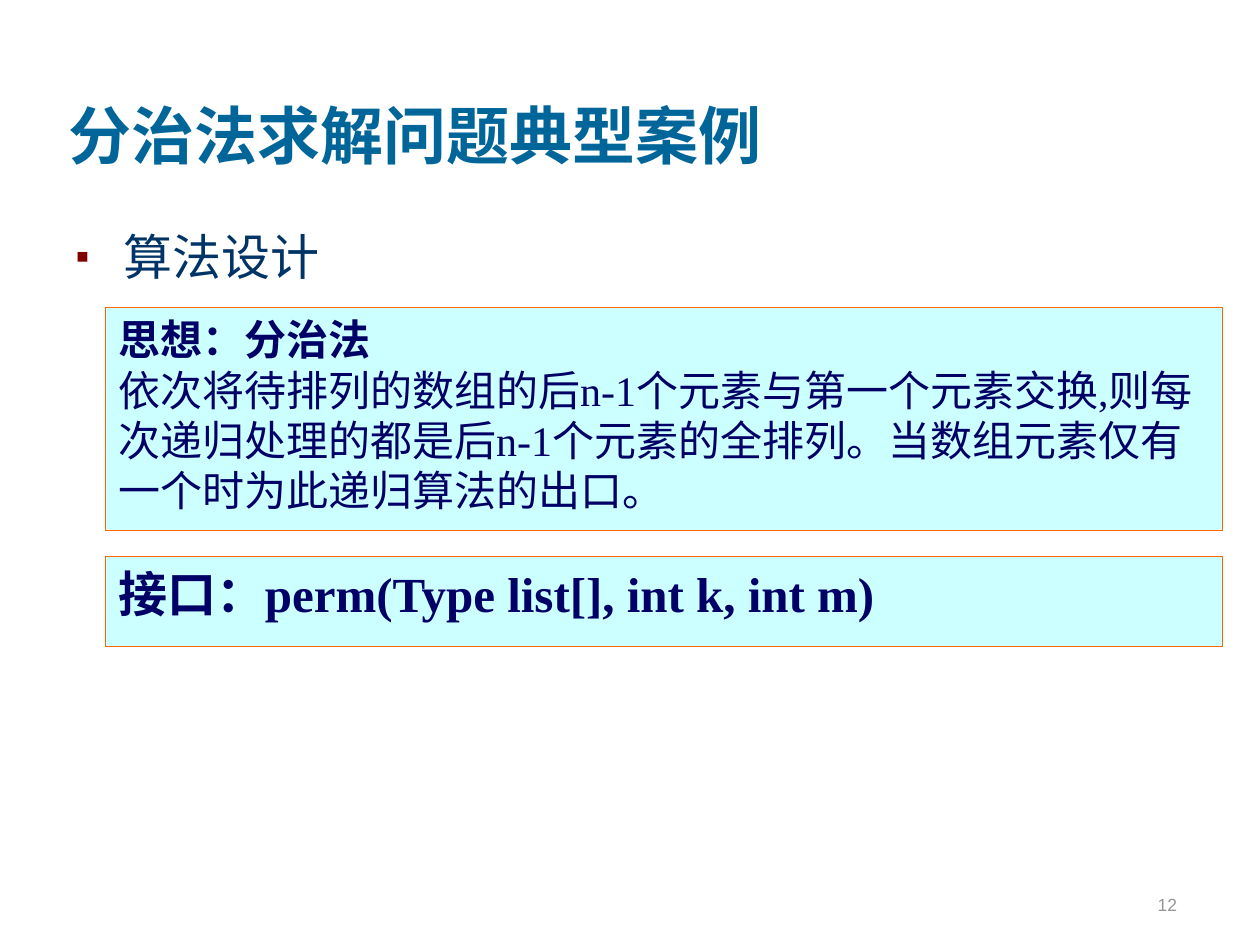
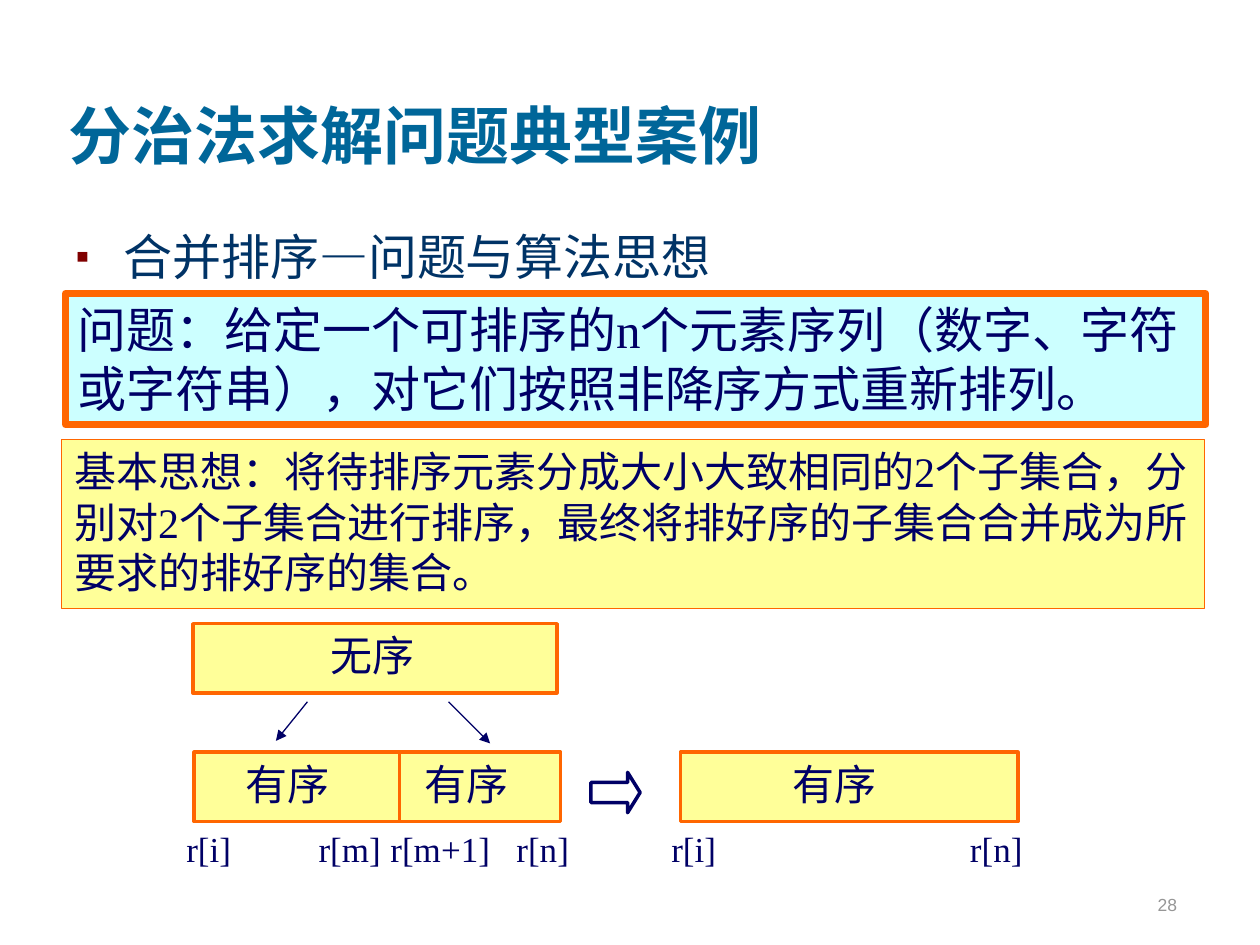
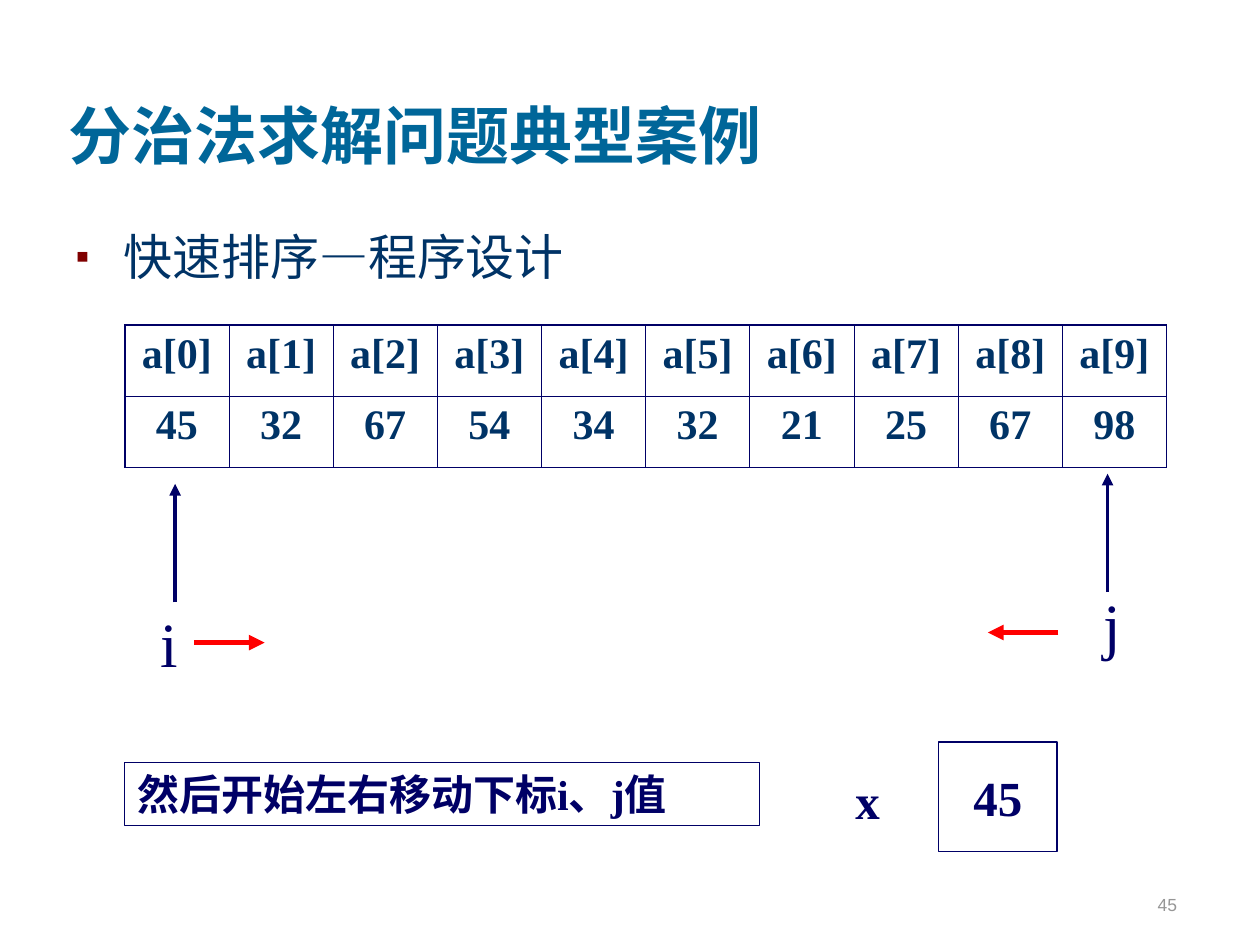
import dataclasses

import lxml.etree
import pptx
import pptx.dml.color
import pptx.enum.shapes
import pptx.enum.text
import pptx.oxml.ns
import pptx.util

Inches = pptx.util.Inches
Pt = pptx.util.Pt
qn = pptx.oxml.ns.qn
ALIGN = pptx.enum.text.PP_ALIGN
ANCHOR = pptx.enum.text.MSO_ANCHOR
SHAPE = pptx.enum.shapes.MSO_SHAPE


@dataclasses.dataclass(frozen=True)
class Theme:
    title_color: str = "006699"
    body_color: str = "003366"
    bullet: str = "800000"
    ink: str = "000066"
    border: str = "FF6600"
    cyan: str = "CCFFFF"
    yellow: str = "FFFF99"
    gray: str = "969696"
    red: str = "FF0000"
    serif: str = "Times New Roman"
    body_font: str = "TeX Gyre Pagella"
    sans: str = "Arial"
    title_size: int = 36
    large: int = 28
    medium: int = 24
    label: int = 20
    number: int = 10


T = Theme()
DECK_TITLE = "分治法求解问题典型案例"


def rgb(value):
    return pptx.dml.color.RGBColor.from_string(value)


def box_of(left, top, width, height):
    return Inches(left), Inches(top), Inches(width), Inches(height)


def sub(parent, tag, **attrs):
    return lxml.etree.SubElement(parent, qn(tag), attrs)


def write(tf, text, size, color=T.ink, font=T.serif, bold=False,
          align=ALIGN.LEFT, anchor=ANCHOR.TOP, wrap=True):
    tf.text = text
    tf.word_wrap = wrap
    tf.auto_size = pptx.enum.text.MSO_AUTO_SIZE.NONE
    tf.vertical_anchor = anchor
    for p in tf.paragraphs:
        p.alignment = align
        p.space_before = Pt(0)
        for r in p.runs:
            r.font.name = font
            r.font.size = Pt(size)
            r.font.bold = bold
            r.font.color.rgb = rgb(color)


def add_text(shapes, box, text, size, **style):
    sp = shapes.add_textbox(*box_of(*box))
    write(sp.text_frame, text, size, **style)
    return sp


def add_box(shapes, box, fill=None, line=T.border, width=0.5, kind=SHAPE.RECTANGLE):
    sp = shapes.add_shape(kind, *box_of(*box))
    sp.shadow.inherit = False
    if fill:
        sp.fill.solid()
        sp.fill.fore_color.rgb = rgb(fill)
    else:
        sp.fill.background()
    sp.line.color.rgb = rgb(line)
    sp.line.width = Pt(width)
    return sp


def add_line(shapes, start, end, color, width, arrow=False):
    cx = shapes.add_connector(pptx.enum.shapes.MSO_CONNECTOR.STRAIGHT,
                              *(Inches(v) for v in (*start, *end)))
    cx.line.color.rgb = rgb(color)
    cx.line.width = Pt(width)
    if arrow:
        sub(cx.line._get_or_add_ln(), "a:tailEnd", type="triangle")
    sub(cx._element.spPr, "a:effectLst")


def add_index_labels(shapes, box, labels, stops):
    """Put labels on one line, each after the first at its tab stop in inches."""
    sp = add_text(shapes, box, "\t".join(labels), T.label)
    tabs = sub(sp.text_frame.paragraphs[0]._p.get_or_add_pPr(), "a:tabLst")
    for stop in stops:
        sub(tabs, "a:tab", pos=str(Inches(stop)), algn="l")


def place(ph, *box):
    ph.left, ph.top, ph.width, ph.height = box_of(*box)


def add_bullet(p):
    pPr = p._p.get_or_add_pPr()
    pPr.set("marL", str(Inches(0.38)))
    pPr.set("indent", str(Inches(-0.38)))
    sub(sub(pPr, "a:buClr"), "a:srgbClr", val=T.bullet)
    sub(pPr, "a:buSzPct", val="80000")
    sub(pPr, "a:buFont", typeface=T.sans)
    sub(pPr, "a:buChar", char="▪")


def add_slide(prs, topic, number):
    s = prs.slides.add_slide(prs.slide_layouts[1])
    title, body = s.shapes.title, s.placeholders[1]
    place(title, 0.44, 0.17, 8.5, 1.25)
    write(title.text_frame, DECK_TITLE, T.title_size, T.title_color,
          bold=True, anchor=ANCHOR.BOTTOM)
    place(body, 0.5, 1.75, 8.94, 4.88)
    write(body.text_frame, topic, T.large, T.body_color, T.body_font)
    add_bullet(body.text_frame.paragraphs[0])
    add_text(s.shapes, (7.36, 6.81, 2.08, 0.5), str(number), T.number, color=T.gray,
             font=T.sans, align=ALIGN.RIGHT, anchor=ANCHOR.BOTTOM)
    return s.shapes


def set_border(cell, side, width):
    ln = sub(cell._tc.get_or_add_tcPr(), f"a:{side}", w=str(Pt(width)))
    sub(sub(ln, "a:solidFill"), "a:srgbClr", val=T.ink)


def add_array_table(shapes, values, left, top, width, height):
    rows = [[f"a[{i}]" for i in range(len(values))], values]
    last_row, last_col = len(rows) - 1, len(values) - 1
    frame = shapes.add_table(len(rows), len(values), *box_of(left, top, width, height))
    table = frame.table
    table.first_row = table.horz_banding = False
    for y, row in enumerate(rows):
        for x, value in enumerate(row):
            cell = table.cell(y, x)
            write(cell.text_frame, str(value), T.medium, T.body_color,
                  bold=True, align=ALIGN.CENTER)
            outer = {"lnL": x == 0, "lnR": x == last_col,
                     "lnT": y == 0, "lnB": y == last_row}
            for side, is_outer in outer.items():
                set_border(cell, side, 1.08 if is_outer else 0.45)
            cell.fill.background()


def permutation_slide(prs):
    shapes = add_slide(prs, "算法设计", 12)
    idea = add_box(shapes, (0.84, 2.44, 8.86, 1.77), T.cyan).text_frame
    write(idea, "思想：分治法\n依次将待排列的数组的后n-1个元素与第一个元素交换,则每次递归处理的"
                "都是后n-1个元素的全排列。当数组元素仅有一个时为此递归算法的出口。", T.medium)
    idea.paragraphs[0].runs[0].font.bold = True
    interface = add_box(shapes, (0.84, 4.42, 8.86, 0.71), T.cyan)
    write(interface.text_frame, "接口：perm(Type list[], int k, int m)", T.large, bold=True)


def merge_sort_slide(prs):
    shapes = add_slide(prs, "合并排序—问题与算法思想", 28)
    problem = add_box(shapes, (0.52, 2.33, 9.05, 1.04), T.cyan, width=4)
    write(problem.text_frame, "问题：给定一个可排序的n个元素序列（数字、字符或字符串），"
                              "对它们按照非降序方式重新排列。", T.large)
    idea = add_box(shapes, (0.49, 3.49, 9.07, 1.34), T.yellow)
    write(idea.text_frame, "基本思想：将待排序元素分成大小大致相同的2个子集合，分别对2个子集合"
                           "进行排序，最终将排好序的子集合合并成为所要求的排好序的集合。", T.medium)

    top, height = 5.97, 0.55
    halves = shapes.add_group_shape().shapes
    add_box(halves, (1.54, top, 2.91, height), T.yellow, width=2)
    add_line(halves, (3.17, top), (3.17, top + height), T.border, 2)
    add_box(shapes, (5.4, top, 2.68, height), T.yellow, width=2)
    for left in (1.85, 3.27, 6.19):
        add_text(shapes, (left, top, 1.18, 0.5), "有序", T.medium)
    add_index_labels(shapes, (1.38, 6.52, 3.31, 0.44),
                     ["r[i]", "r[m]", "r[m+1]", "r[n]"], [1.05, 1.62, 2.62])
    add_index_labels(shapes, (5.23, 6.52, 3.24, 0.44), ["r[i]", "r[n]"], [2.37])
    merge = add_box(shapes, (4.69, 6.13, 0.39, 0.32), line=T.ink, width=2,
                    kind=SHAPE.RIGHT_ARROW)
    merge.adjustments[1] = 0.31

    add_box(shapes, (1.53, 4.95, 2.89, height), T.yellow, width=2)
    add_text(shapes, (2.32, 4.95, 1.27, 0.5), "无序", T.medium, align=ALIGN.CENTER)
    add_line(shapes, (2.44, 5.57), (2.19, 5.88), T.ink, 0.75, arrow=True)
    add_line(shapes, (3.56, 5.57), (3.89, 5.9), T.ink, 0.75, arrow=True)


def quick_sort_slide(prs):
    shapes = add_slide(prs, "快速排序—程序设计", 45)
    add_array_table(shapes, [45, 32, 67, 54, 34, 32, 21, 25, 67, 98],
                    0.99, 2.58, 8.27, 1.13)
    centered = dict(align=ALIGN.CENTER, anchor=ANCHOR.MIDDLE, wrap=False)
    pointers = [("i", 1.07, 4.78, (1.39, 4.78), (1.54, 5.1), 0.56),
                ("j", 8.55, 4.63, (8.79, 4.7), (8.4, 5.02), -0.56)]
    for name, left, top, (x, y), (move_x, move_y), step in pointers:
        add_text(shapes, (left, top, 0.55, 0.63), name, T.title_size, **centered)
        add_line(shapes, (x, y), (x, y - 0.94), T.ink, 2.25, arrow=True)
        add_line(shapes, (move_x, move_y), (move_x + step, move_y), T.red, 3, arrow=True)
    pivot = add_box(shapes, (7.45, 5.89, 0.94, 0.87), line=T.ink, width=0.75)
    write(pivot.text_frame, "45", T.large, bold=True, **centered)
    note = add_box(shapes, (0.99, 6.05, 5.04, 0.5), line=T.ink, width=0.75)
    write(note.text_frame, "然后开始左右移动下标i、j值", T.medium, bold=True)
    add_text(shapes, (6.4, 6.02, 0.97, 0.65), "x", T.large, bold=True, **centered)


def main():
    prs = pptx.Presentation()
    prs.slide_width, prs.slide_height = Inches(10), Inches(7.5)
    permutation_slide(prs)
    merge_sort_slide(prs)
    quick_sort_slide(prs)
    prs.save("out.pptx")


if __name__ == "__main__":
    main()
